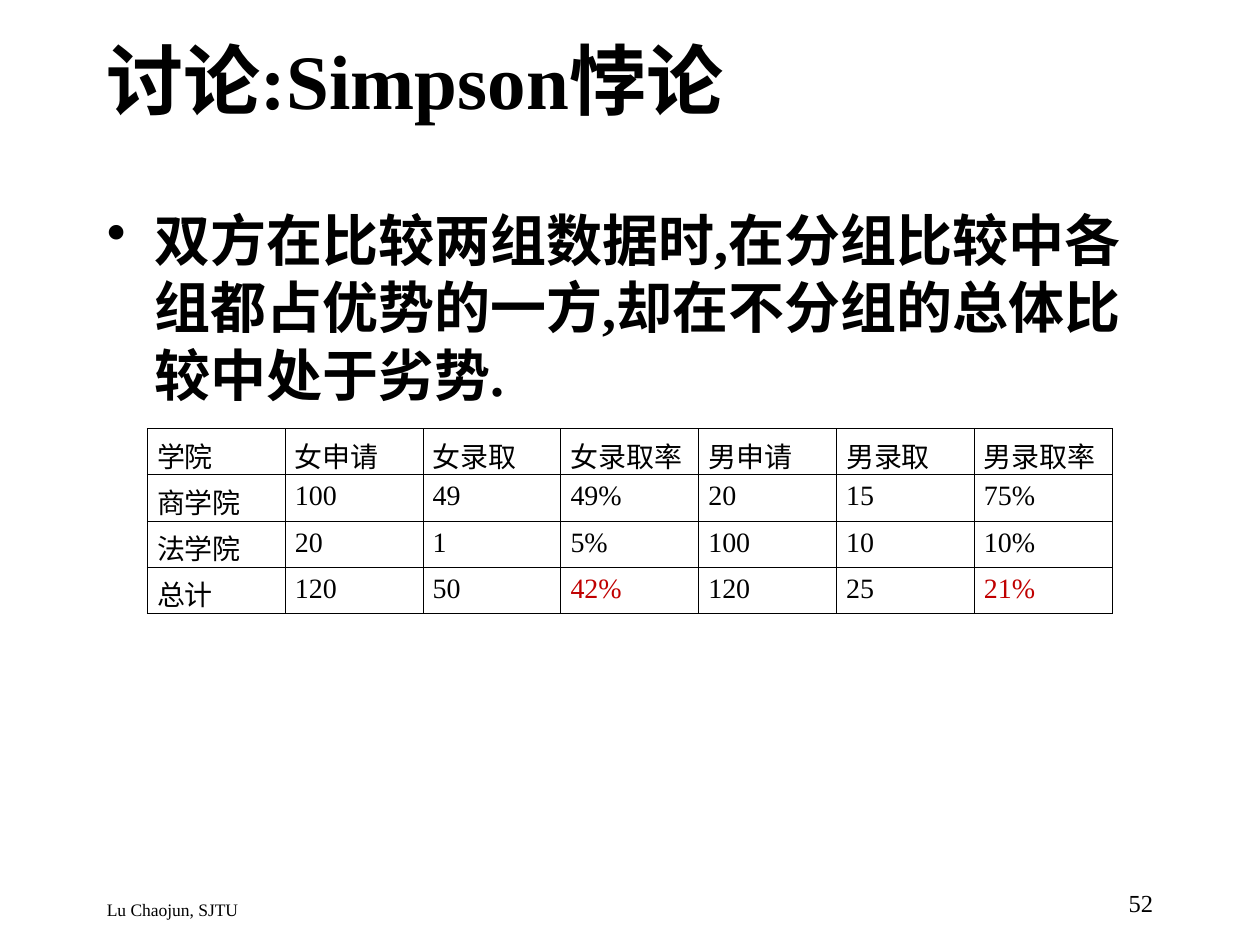
"""Build the slide on Simpson's paradox with its admissions table."""
from collections import namedtuple

from lxml import etree
from pptx import Presentation
from pptx import util as u
from pptx.dml import color
from pptx.enum import text
from pptx.oxml import ns

Theme = namedtuple("Theme", "font ink accent line title body cell number footer")
theme = Theme("Times New Roman", "000000", "C00000", 0.45, 44, 32, 16, 14, 10)


def add_run(para, words, size, ink=theme.ink, bold=False):
    span = para.add_run()
    span.text = words
    span.font.name = theme.font
    span.font.size = u.Pt(size)
    span.font.bold = bold
    span.font.color.rgb = color.RGBColor.from_string(ink)


def add_box(left, top, width, height, anchor=text.MSO_ANCHOR.TOP):
    box = page.shapes.add_textbox(u.Pt(left), u.Pt(top), u.Pt(width), u.Pt(height))
    box.text_frame.word_wrap = True
    box.text_frame.vertical_anchor = anchor
    return box.text_frame.paragraphs[0]


deck = Presentation()
deck.slide_width, deck.slide_height = u.Pt(720), u.Pt(540)
page = deck.slides.add_slide(deck.slide_layouts[6])

title = add_box(54, 0, 612, 90, text.MSO_ANCHOR.MIDDLE)
add_run(title, "讨论:Simpson悖论", theme.title, bold=True)

claim = add_box(54, 114, 612, 366)
props = claim._p.get_or_add_pPr()
props.set("marL", str(u.Pt(27)))
props.set("indent", str(-u.Pt(27)))
etree.SubElement(props, ns.qn("a:buChar"), char="•")
add_run(claim, "双方在比较两组数据时,在分组比较中各组都占优势的一方,却在不分组的总体比较中处于劣势.",
        theme.body, bold=True)

footer = add_box(54, 510, 417.6, 18)
add_run(footer, "Lu Chaojun, SJTU", theme.footer)

number = add_box(516, 504, 150, 24)
number.alignment = text.PP_ALIGN.RIGHT
add_run(number, "52", theme.number)

admissions = [
    ["学院", "女申请", "女录取", "女录取率", "男申请", "男录取", "男录取率"],
    ["商学院", "100", "49", "49%", "20", "15", "75%"],
    ["法学院", "20", "1", "5%", "100", "10", "10%"],
    ["总计", "120", "50", "42%", "120", "25", "21%"],
]
paradox = {"42%", "21%"}
frame = page.shapes.add_table(len(admissions), len(admissions[0]),
                              u.Pt(84.2), u.Pt(244.8), u.Pt(551.25), u.Pt(77))
table = frame.table
table.first_row = table.horz_banding = False
for row, values in enumerate(admissions):
    for column, value in enumerate(values):
        cell = table.cell(row, column)
        cell.margin_left = cell.margin_right = u.Pt(5.6)
        cell.margin_top = cell.margin_bottom = u.Pt(3.6)
        ink = theme.accent if value in paradox else theme.ink
        add_run(cell.text_frame.paragraphs[0], value, theme.cell, ink)
        borders = cell._tc.get_or_add_tcPr()
        for side in ("lnL", "lnR", "lnT", "lnB"):
            border = etree.SubElement(borders, ns.qn(f"a:{side}"), w=str(u.Pt(theme.line)))
            fill = etree.SubElement(border, ns.qn("a:solidFill"))
            etree.SubElement(fill, ns.qn("a:srgbClr"), val=theme.ink)
        cell.fill.background()

deck.save("out.pptx")
